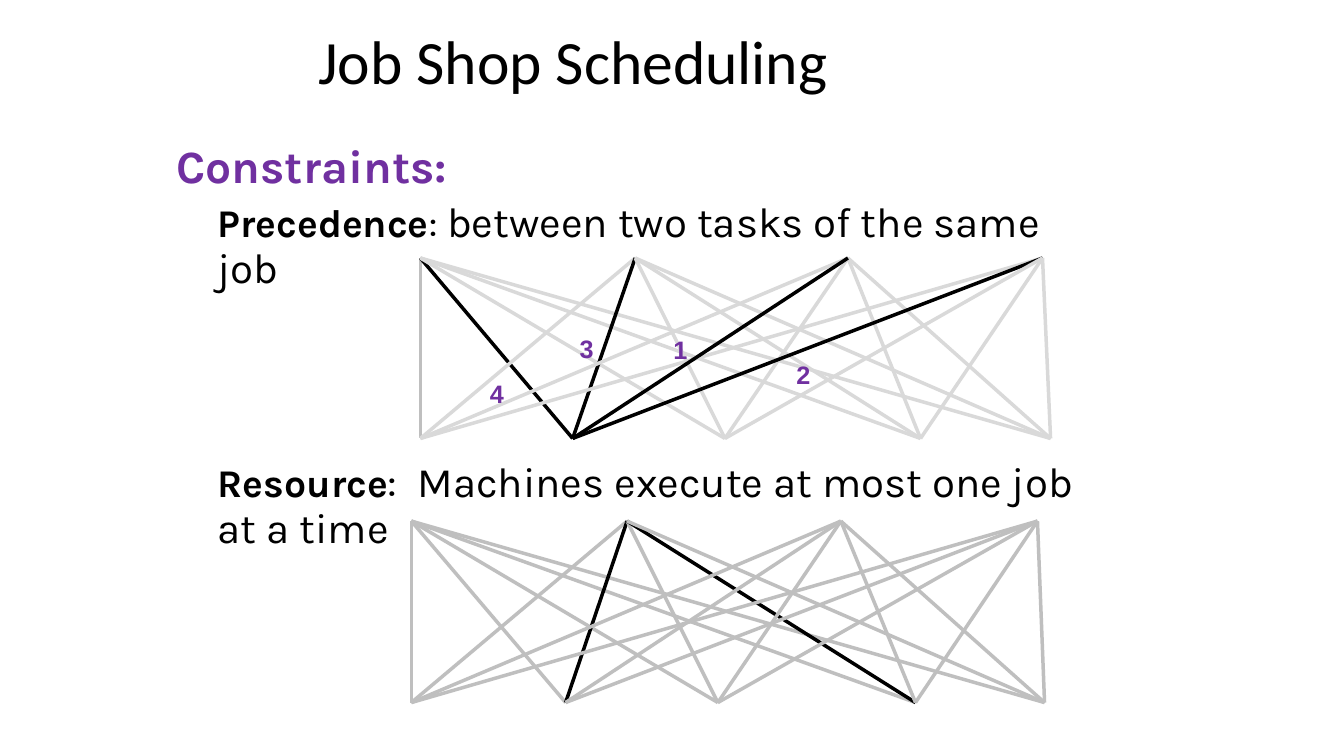
import pptx
import pptx.util
import pptx.dml.color
import pptx.enum.shapes
import pptx.enum.text
import pptx.oxml.ns
import lxml.etree

Inches, Pt = pptx.util.Inches, pptx.util.Pt

COLORS = {"text": "000000", "accent": "7030A0", "chosen": "000000",
          "pale": "D9D9D9", "gray": "BFBFBF"}

TITLE = "Job Shop Scheduling"

# Paragraphs: left indent, space before in points, runs (text, size, bold, color)
CONSTRAINTS = [
    (0, 0, [("Constraints:", 33, True, "accent")]),
    (0.41, 6, [("Precedence", 28, True, "text"), (": ", 28, False, "text"),
               ("between two tasks of the same job", 30, False, "text")]),
    (0.41, 121, [("Resource", 28, True, "text"),
                 (":  Machines execute at most one job at a time", 30, False, "text")]),
]

# Edges as (job, machine), in drawing order from back to front
EDGES = ([(0, machine) for machine in range(5)]
         + [(1, machine) for machine in range(5)]
         + [(2, 2), (2, 3), (2, 4), (2, 0), (3, 0), (3, 1), (2, 1),
            (3, 2), (3, 3), (3, 4)])

NETWORKS = [
    {"jobs": (4.17, 6.3, 8.41, 10.34), "machines": (4.17, 5.68, 7.19, 9.13, 10.42),
     "top": 2.56, "bottom": 4.35, "color": "pale",
     "special": {(0, 0): "gray", **{(job, 1): "chosen" for job in range(4)}}},
    {"jobs": (4.08, 6.22, 8.34, 10.29), "machines": (4.08, 5.61, 7.12, 9.08, 10.36),
     "top": 5.17, "bottom": 6.97, "color": "gray",
     "special": {(1, 1): "chosen", (1, 3): "chosen"}},
]

ORDER_LABELS = [("4", 4.76, 3.7), ("1", 6.58, 3.27), ("3", 5.65, 3.26), ("2", 7.8, 3.52)]


def rgb(name):
    return pptx.dml.color.RGBColor.from_string(COLORS[name])


def add_box(slide, left, top, width, height, wrap=True):
    box = slide.shapes.add_textbox(Inches(left), Inches(top), Inches(width), Inches(height))
    box.text_frame.word_wrap = wrap
    return box


def add_span(para, text, font, size, bold, color):
    span = para.add_run()
    span.text = text
    span.font.name = font
    span.font.size = Pt(size)
    span.font.bold = bold
    span.font.color.rgb = rgb(color)


def add_edge(slide, start, end, color):
    line = slide.shapes.add_connector(
        pptx.enum.shapes.MSO_CONNECTOR.STRAIGHT, *map(Inches, start + end))
    line.line.color.rgb = rgb(color)
    line.line.width = Pt(2.5)
    properties = line._element.spPr
    lxml.etree.SubElement(properties, pptx.oxml.ns.qn("a:effectLst"))


def main():
    deck = pptx.Presentation()
    deck.slide_width, deck.slide_height = Inches(13.33), Inches(7.5)
    slide = deck.slides.add_slide(deck.slide_layouts[6])

    # Constraint text
    frame = add_box(slide, 1.75, 1.42, 9.17, 3.73).text_frame
    frame.margin_left = frame.margin_right = frame.margin_top = frame.margin_bottom = 0
    for index, (indent, space, spans) in enumerate(CONSTRAINTS):
        para = frame.add_paragraph() if index else frame.paragraphs[0]
        para.line_spacing = 0.9
        para.space_before = Pt(space)
        para._p.get_or_add_pPr().set("marL", str(Inches(indent)))
        for text, size, bold, color in spans:
            add_span(para, text, "Karla", size, bold, color)

    # Job to machine networks
    for network in NETWORKS:
        for job, machine in EDGES:
            add_edge(slide, (network["jobs"][job], network["top"]),
                     (network["machines"][machine], network["bottom"]),
                     network["special"].get((job, machine), network["color"]))

    # Task order numbers
    for number, left, top in ORDER_LABELS:
        box = add_box(slide, left, top, 0.34, 0.4, wrap=False)
        add_span(box.text_frame.paragraphs[0], number, "Arial", 18, True, "accent")

    # Title
    frame = add_box(slide, 2.06, 0.18, 7.25, 0.82).text_frame
    frame.vertical_anchor = pptx.enum.text.MSO_ANCHOR.MIDDLE
    para = frame.paragraphs[0]
    para.alignment = pptx.enum.text.PP_ALIGN.CENTER
    add_span(para, TITLE, "Calibri", 44, False, "text")

    deck.save("out.pptx")


if __name__ == "__main__":
    main()
